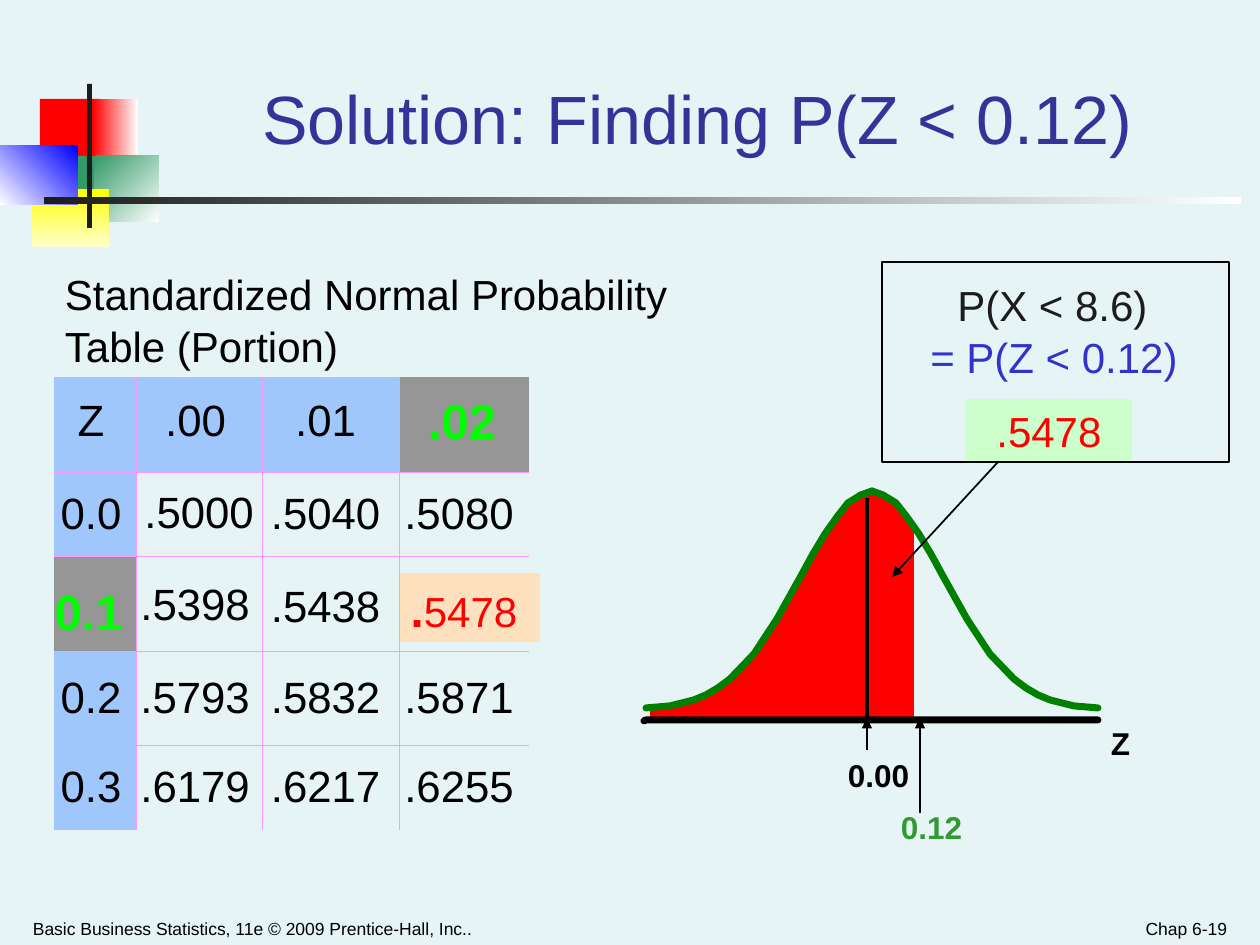
from pptx import Presentation
from pptx.dml.color import RGBColor
from pptx.enum.shapes import MSO_CONNECTOR, MSO_SHAPE
from pptx.enum.text import MSO_ANCHOR, PP_ALIGN
from pptx.oxml import parse_xml
from pptx.oxml.ns import nsdecls, qn
from pptx.util import Pt

LINE, RECT = MSO_CONNECTOR.STRAIGHT, MSO_SHAPE.RECTANGLE
LEFT, MID, RIGHT = PP_ALIGN.LEFT, PP_ALIGN.CENTER, PP_ALIGN.RIGHT
CENTRE, LOW = MSO_ANCHOR.MIDDLE, MSO_ANCHOR.BOTTOM
SCALE = 914400 / 126
PLAIN = "{2D5ABB26-0587-4C30-8999-92F81FD0307C}"  # table style without grid

THEME = dict(
    font="Arial", back="E7F4F5", ink="000000", dark="1C1C1C", white="FFFFFF",
    title="333399", red="FF0000", curve="008000", mark="339933", blue="3333CC",
    head="A0C7FC", pick="969696", lime="00FF00", grid="FF99FF",
    peach="FDE0BD", mint="CCFFCC", green="339966", yellow="FFFF00",
    cream="FFFFCC", azure="0000FF",
    big=39, bold=28, dot=27, cell=25, body=24, label=18, small=10)

# Box, start colour, end colour (None for a plain fill), clockwise angle
DECOR = [
    ((40, 99, 60, 66), "red", None, 0),
    ((93, 99, 45, 66), "red", "white", 0),
    ((94, 156, 65, 66), "green", "white", 45),
    ((54, 156, 40, 66), "green", None, 0),
    ((32, 189, 77, 58), "yellow", "cream", 90),
    ((0, 146, 78, 59), "white", "azure", 315),
    ((87, 84, 5, 144), "dark", None, 0),
    ((44, 197, 1197, 7), "dark", "white", 0),
]
ROWS = [
    ["Z", ".00", ".01", ".02"],
    ["0.0", ".5000", ".5040", ".5080"],
    ["0.1", ".5398", ".5438", ".5478"],
    ["0.2", ".5793", ".5832", ".5871"],
    ["0.3", ".6179", ".6217", ".6255"],
]
PICKED = [(0, 3), (2, 0)]
FOUND = (2, 3)
# Cell margins that differ from the usual: right, top, bottom
INSETS = {(0, 0): (8, 0, 6), (0, 1): (7, 0, 6), (0, 2): (10, 0, 6),
          (0, 3): (4, 0, 4), (1, 1): (0, 0, 2), (2, 0): (13, 19, 0),
          (2, 1): (8, 4, 0), (2, 2): (10, 8, 0), (2, 3): (0, 15, 0)}
COL_X = [54, 136, 262, 399, 529]
ROW_Y = [377, 472, 556, 651, 745, 830]

PEAK, MEAN, CUT, BASE = 872, 867, 910, 719
HALF = [  # distance from the peak, height on the slide
    (226, 708), (202, 706), (190, 703), (178, 700), (166, 695), (154, 688),
    (142, 679), (118, 654), (95, 619), (71, 576), (59, 554), (47, 534),
    (35, 517), (24, 503), (11, 495), (0, 491)]
ARROWS = [((867, 750), (867, 718)), ((920, 813), (920, 718)),
          ((998, 462), (892, 577))]
LABELS = [
    ("Basic Business Statistics, 11e © 2009 Prentice-Hall, Inc..",
     (21, 901, 640, 44), dict(size="small", align=LEFT, anchor=LOW, pad=12)),
    ("Chap 6-19", (945, 901, 294, 44),
     dict(size="small", align=RIGHT, anchor=LOW, pad=12)),
    ("Standardized Normal Probability\nTable (Portion)", (52, 262, 630, 115),
     dict(align=LEFT, pad=13, gap=1)),
    ("P(X < 8.6)", (945, 273, 215, 63), dict(color="dark")),
    ("= P(Z < 0.12)", (918, 325, 272, 63), dict(color="blue")),
    ("Z", (1099, 718, 53, 50),
     dict(size="label", bold=True, align=LEFT, pad=12)),
    ("0.00", (835, 750, 87, 50), dict(size="label", bold=True)),
    ("0.12", (888, 802, 87, 50), dict(size="label", bold=True, color="mark")),
]


def px(*nums):
    return [round(n * SCALE) for n in nums]


def rgb(name):
    return RGBColor.from_string(THEME[name])


def style(font, size, color, bold):
    font.name, font.size, font.bold = THEME["font"], Pt(THEME[size]), bold
    font.color.rgb = rgb(color)


def write(frame, text, size="body", color="ink", bold=False, align=MID,
          anchor=CENTRE, pad=0, gap=0):
    frame.word_wrap, frame.vertical_anchor = True, anchor
    frame.margin_left = frame.margin_right = px(pad)[0]
    frame.margin_top = frame.margin_bottom = px(6)[0]
    fill_text(frame, text, size, color, bold, align, gap)


def fill_text(frame, text, size, color, bold, align=MID, gap=0):
    for i, line in enumerate(text.split("\n")):
        para = frame.add_paragraph() if i else frame.paragraphs[0]
        para.alignment = align
        if i:
            para.space_before = Pt(gap)
        run = para.add_run()
        run.text = line
        style(run.font, size, color, bold)


def block(slide, box, fill=None, end=None, angle=0, line=None):
    shape = slide.shapes.add_shape(RECT, *px(*box))
    paint(shape, None if end else fill, line, 1.5)
    if end:
        shape.fill.gradient()
        shape.fill.gradient_angle = (360 - angle) % 360
        for stop, name in zip(shape.fill.gradient_stops, (fill, end)):
            stop.color.rgb = rgb(name)
    return shape


def paint(shape, fill, line, width):
    shape.shadow.inherit = False
    if fill:
        shape.fill.solid()
        shape.fill.fore_color.rgb = rgb(fill)
    else:
        shape.fill.background()
    if line:
        shape.line.color.rgb, shape.line.width = rgb(line), Pt(width)
    else:
        shape.line.fill.background()


def outline(slide, points, fill=None, line=None, width=1):
    pts = [px(*p) for p in points]
    build = slide.shapes.build_freeform(*pts[0], scale=1.0)
    build.add_line_segments(pts[1:], close=bool(fill))
    shape = build.convert_to_shape()
    paint(shape, fill, line, width)
    shape.line._get_or_add_ln().set("cap", "rnd")


def stroke(slide, start, stop, width=1, color="ink", arrow=False):
    link = slide.shapes.add_connector(LINE, *px(*start, *stop))
    link.line.color.rgb, link.line.width = rgb(color), Pt(width)
    if arrow:
        link.line._get_or_add_ln().append(
            parse_xml(f'<a:tailEnd {nsdecls("a")} type="triangle"/>'))
    link._element.spPr.append(parse_xml(f'<a:effectLst {nsdecls("a")}/>'))


def edge(cell, sides):
    """Draw the pink grid line on the given sides of a cell."""
    props = cell._tc.get_or_add_tcPr()
    for i, side in enumerate(sides):
        props.insert(i, parse_xml(
            f'<a:ln{side} {nsdecls("a")} w="6350"><a:solidFill>'
            f'<a:srgbClr val="{THEME["grid"]}"/></a:solidFill></a:ln{side}>'))


def add_grid(slide):
    box = (COL_X[0], ROW_Y[0], COL_X[-1] - COL_X[0], ROW_Y[-1] - ROW_Y[0])
    frame = slide.shapes.add_table(len(ROWS), len(ROWS[0]), *px(*box))
    table = frame.table
    table.first_row = table.horz_banding = False
    frame._element.find(".//" + qn("a:tableStyleId")).text = PLAIN
    for parts, marks, side in ((table.columns, COL_X, "width"),
                               (table.rows, ROW_Y, "height")):
        for part, a, b in zip(parts, marks, marks[1:]):
            setattr(part, side, px(b - a)[0])
    for r, row in enumerate(ROWS):
        for c, text in enumerate(row):
            fill_cell(table.cell(r, c), r, c, text)


def fill_cell(cell, r, c, text):
    pick = (r, c) in PICKED
    inset = INSETS.get((r, c), (10 if c > 1 else 8, 0, 0))
    cell.margin_left = 0
    cell.margin_right, cell.margin_top, cell.margin_bottom = px(*inset)
    cell.vertical_anchor = CENTRE
    if (r, c) == FOUND:
        fill_text(cell.text_frame, text[0], "dot", "red", True)
        run = cell.text_frame.paragraphs[0].add_run()
        run.text = text[1:]
        style(run.font, "body", "red", False)
    else:
        fill_text(cell.text_frame, text, "bold" if pick else "cell",
                  "lime" if pick else "ink", pick)
    if r and c:
        cell.fill.background()
    else:
        cell.fill.solid()
        cell.fill.fore_color.rgb = rgb("pick" if pick else "head")
    sides = [("L", c > 0), ("R", c < len(ROWS[0]) - 1),
             ("T", r > 0), ("B", r < len(ROWS) - 1)]
    edge(cell, [side for side, on in sides if on])


def add_curve(slide):
    left = [(PEAK - d, y) for d, y in HALF]
    right = [(PEAK + d, y) for d, y in reversed(HALF)]
    lower = [(651, 708)] + [p for p in left[1:] if p[0] < MEAN]
    upper = [p for p in right if p[0] < CUT]
    for area in (lower + [(MEAN, 494), (MEAN, BASE), (651, BASE)],
                 [(MEAN, 494)] + upper + [(CUT, 523), (CUT, BASE), (MEAN, BASE)]):
        outline(slide, area, fill="red", line="red")
    stroke(slide, (CUT, 529), (CUT, 718), width=5, color="red")
    stroke(slide, (MEAN, 498), (MEAN, 718), width=2.5)
    for side in (right, left):
        outline(slide, side, line="curve", width=4)
    outline(slide, [(644, 721), (646, 720), (1098, 720)], line="ink", width=4)


def main():
    deck = Presentation()
    deck.slide_width, deck.slide_height = px(1260, 945)
    slide = deck.slides.add_slide(deck.slide_layouts[5])
    slide.background.fill.solid()
    slide.background.fill.fore_color.rgb = rgb("back")
    for box, fill, end, angle in DECOR:
        block(slide, box, fill, end, angle)
    title = slide.shapes.title
    title.left, title.top, title.width, title.height = px(157, 42, 1081, 158)
    write(title.text_frame, "Solution: Finding P(Z < 0.12)", size="big",
          color="title", pad=13)
    title.text_frame.paragraphs[0].line_spacing = 0.95
    block(slide, (399, 573, 141, 69), "peach")
    add_grid(slide)
    add_curve(slide)
    answer = block(slide, (966, 399, 166, 63), "mint")
    write(answer.text_frame, ".5478", color="red")
    block(slide, (882, 262, 347, 200), line="ink")
    for text, box, form in LABELS:
        write(slide.shapes.add_textbox(*px(*box)).text_frame, text, **form)
    for start, stop in ARROWS:
        stroke(slide, start, stop, arrow=True)
    deck.save("out.pptx")


if __name__ == "__main__":
    main()
